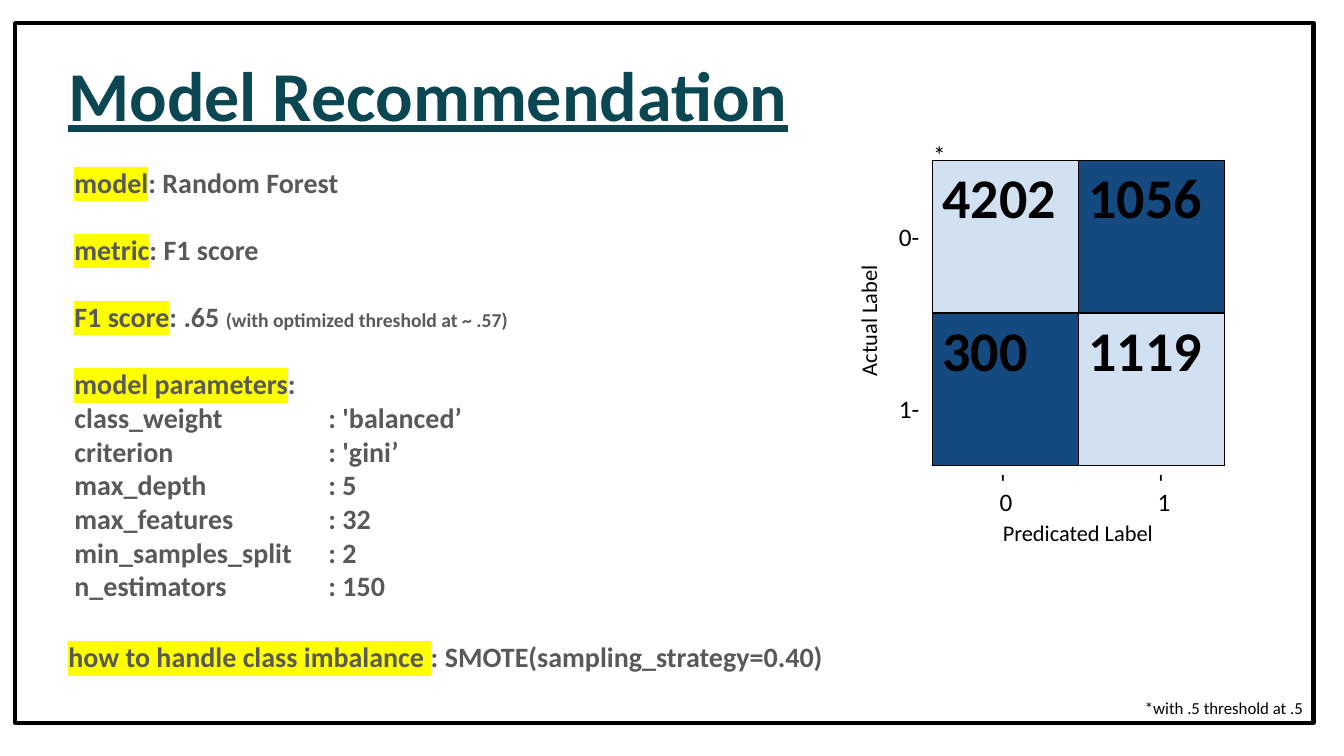
from dataclasses import dataclass

from lxml import etree
from pptx import Presentation
from pptx import util as u
from pptx.dml.color import RGBColor
from pptx.enum import shapes, text
from pptx.oxml import ns


@dataclass(frozen=True)
class Theme:
    font: str = "Calibri"
    title_color: str = "0B4752"
    body_color: str = "595959"
    ink: str = "000000"
    marker: str = "FFFF00"
    light: str = "D1E1F2"
    dark: str = "144A7F"
    title: int = 50
    count: int = 40
    body: int = 20
    tick: int = 18
    axis: int = 16
    aside: int = 14
    footnote: int = 12


THEME = Theme()
WIDTH, HEIGHT = u.Inches(13.333), u.Inches(7.5)

PARAMETERS = [
    ("class_weight", "'balanced’"),
    ("criterion", "'gini’"),
    ("max_depth", "5"),
    ("max_features", "32"),
    ("min_samples_split", "2"),
    ("n_estimators", "150"),
]
CONFUSION = [["4202", "1056"], ["300", "1119"]]


def place(left, top, width, height):
    """Turn percentages of the slide into lengths."""
    return (int(WIDTH * left / 100), int(HEIGHT * top / 100),
            int(WIDTH * width / 100), int(HEIGHT * height / 100))


def solid_fill(parent, color):
    fill = etree.SubElement(parent, ns.qn("a:solidFill"))
    etree.SubElement(fill, ns.qn("a:srgbClr"), val=color)


def write(paragraph, words, size=THEME.body, color=THEME.ink, bold=False,
          underline=False, highlight=None, outline=None):
    run = paragraph.add_run()
    run.text = words
    font = run.font
    font.name, font.size, font.bold = THEME.font, u.Pt(size), bold
    font.underline = underline
    font.color.rgb = RGBColor.from_string(color)
    properties = run._r.get_or_add_rPr()
    if highlight:
        mark = etree.Element(ns.qn("a:highlight"))
        etree.SubElement(mark, ns.qn("a:srgbClr"), val=highlight)
        properties.find(ns.qn("a:solidFill")).addnext(mark)
    if outline:
        line = etree.Element(ns.qn("a:ln"), w=str(u.Pt(0.75)))
        solid_fill(line, outline)
        properties.insert(0, line)


def add_box(parent, area, wrap=False, rotation=0):
    box = parent.add_textbox(*place(*area))
    box.rotation = rotation
    box.text_frame.word_wrap = wrap
    box.text_frame.auto_size = text.MSO_AUTO_SIZE.SHAPE_TO_FIT_TEXT
    return box.text_frame


def add_label(parent, area, words, rotation=0, **style):
    write(add_box(parent, area, rotation=rotation).paragraphs[0], words, **style)


def write_entry(paragraph, name, value):
    """Write a highlighted name followed by its value."""
    body = {"color": THEME.body_color, "bold": True}
    write(paragraph, name, highlight=THEME.marker, **body)
    write(paragraph, value, **body)


def add_details(slide):
    frame = add_box(slide.shapes, (4.8, 21.2, 55.13, 59.73), wrap=True)
    entries = [("model", ": Random Forest"), ("metric", ": F1 score"),
               ("F1 score", ": .65 "), ("model parameters", ":")]
    for index, (name, value) in enumerate(entries):
        paragraph = frame.add_paragraph() if index else frame.paragraphs[0]
        if index:
            paragraph.space_before = u.Pt(24)
        write_entry(paragraph, name, value)
        if name == "F1 score":
            write(paragraph, "(with optimized threshold at ~ .57)",
                  size=THEME.aside, color=THEME.body_color, bold=True)

    # Parameter values line up on one tab stop
    for name, value in PARAMETERS:
        paragraph = frame.add_paragraph()
        tabs = etree.SubElement(paragraph._p.get_or_add_pPr(), ns.qn("a:tabLst"))
        etree.SubElement(tabs, ns.qn("a:tab"), pos=str(u.Inches(2.52)), algn="l")
        write(paragraph, f"{name}\t: {value}", color=THEME.body_color, bold=True)


def add_frame(slide):
    frame = slide.shapes.add_shape(shapes.MSO_SHAPE.RECTANGLE,
                                   *place(1.13, 3.07, 96.6, 92.53))
    frame.shadow.inherit = False
    frame.fill.background()
    frame.line.color.rgb = RGBColor.from_string(THEME.ink)
    frame.line.width = u.Pt(3)


def style_cell(cell, color):
    properties = cell._tc.get_or_add_tcPr()
    for side in ("L", "R", "T", "B"):
        border = etree.SubElement(properties, ns.qn(f"a:ln{side}"), w=str(u.Pt(1)))
        solid_fill(border, THEME.ink)
    cell.fill.solid()
    cell.fill.fore_color.rgb = RGBColor.from_string(color)


def add_matrix(slide):
    table = slide.shapes.add_table(2, 2, *place(69.38, 21.2, 21.75, 40.4)).table
    table.first_row = table.horz_banding = False
    for row, counts in enumerate(CONFUSION):
        for column, count in enumerate(counts):
            cell = table.cell(row, column)
            style_cell(cell, THEME.light if row == column else THEME.dark)
            write(cell.text_frame.paragraphs[0], count, size=THEME.count,
                  bold=True, outline=THEME.title_color)


def add_axes(slide):
    axes = slide.shapes.add_group_shape().shapes
    add_label(axes, (59.7, 39.87, 9.83, 4.93), "Actual Label",
              rotation=270, size=THEME.axis)
    add_label(axes, (73.88, 68, 12.83, 4.93), "Predicated Label", size=THEME.axis)
    for label in (0, 1):
        across = 11.75 * label
        add_label(axes, (66.15, 28.67 + 22.66 * label, 3.08, 5.33), f"{label}-",
                  size=THEME.tick)
        add_label(axes, (73.8 + across, 60.7, 2.1, 5.33), "-",
                  rotation=90, size=THEME.tick)
        add_label(axes, (73.65 + across, 63.7, 2.48, 5.33), str(label),
                  size=THEME.tick)


def main():
    presentation = Presentation()
    presentation.slide_width, presentation.slide_height = WIDTH, HEIGHT
    slide = presentation.slides.add_slide(presentation.slide_layouts[6])

    # Title and model details
    add_label(slide.shapes, (4.35, 6.13, 55.58, 12.53), "Model Recommendation",
              size=THEME.title, color=THEME.title_color, bold=True, underline=True)
    add_details(slide)
    add_frame(slide)

    # Confusion matrix with its axes
    add_matrix(slide)
    add_axes(slide)

    # Footnote and its mark
    add_label(slide.shapes, (84.45, 91.6, 13.43, 4), "*with .5 threshold at .5",
              size=THEME.footnote)
    add_label(slide.shapes, (68.7, 17.73, 2.48, 5.33), "*", size=THEME.tick)

    # Class imbalance
    imbalance = add_box(slide.shapes, (4.35, 84, 58.13, 5.87))
    write_entry(imbalance.paragraphs[0], "how to handle class imbalance ",
                ": SMOTE(sampling_strategy=0.40)")

    presentation.save("out.pptx")


if __name__ == "__main__":
    main()
